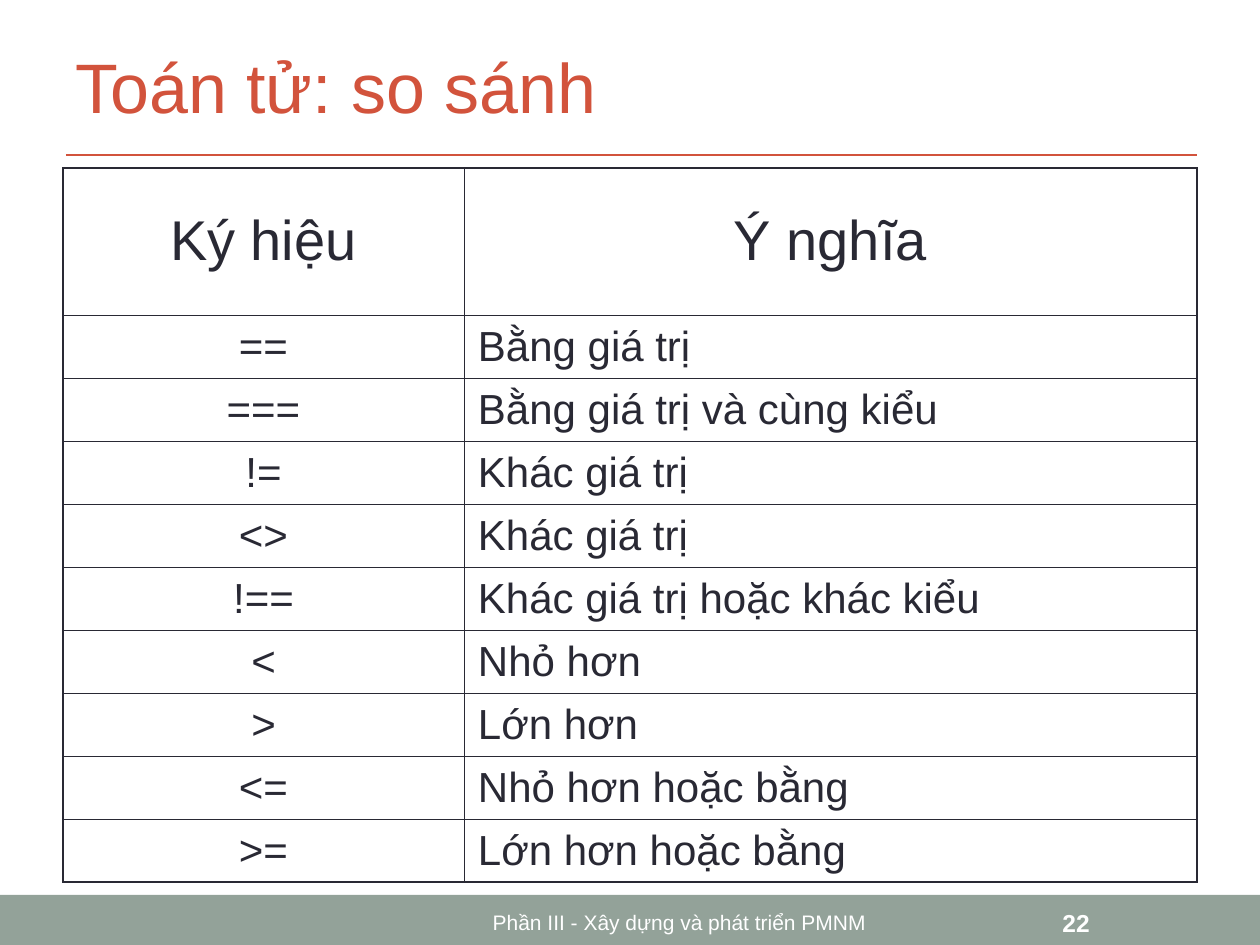
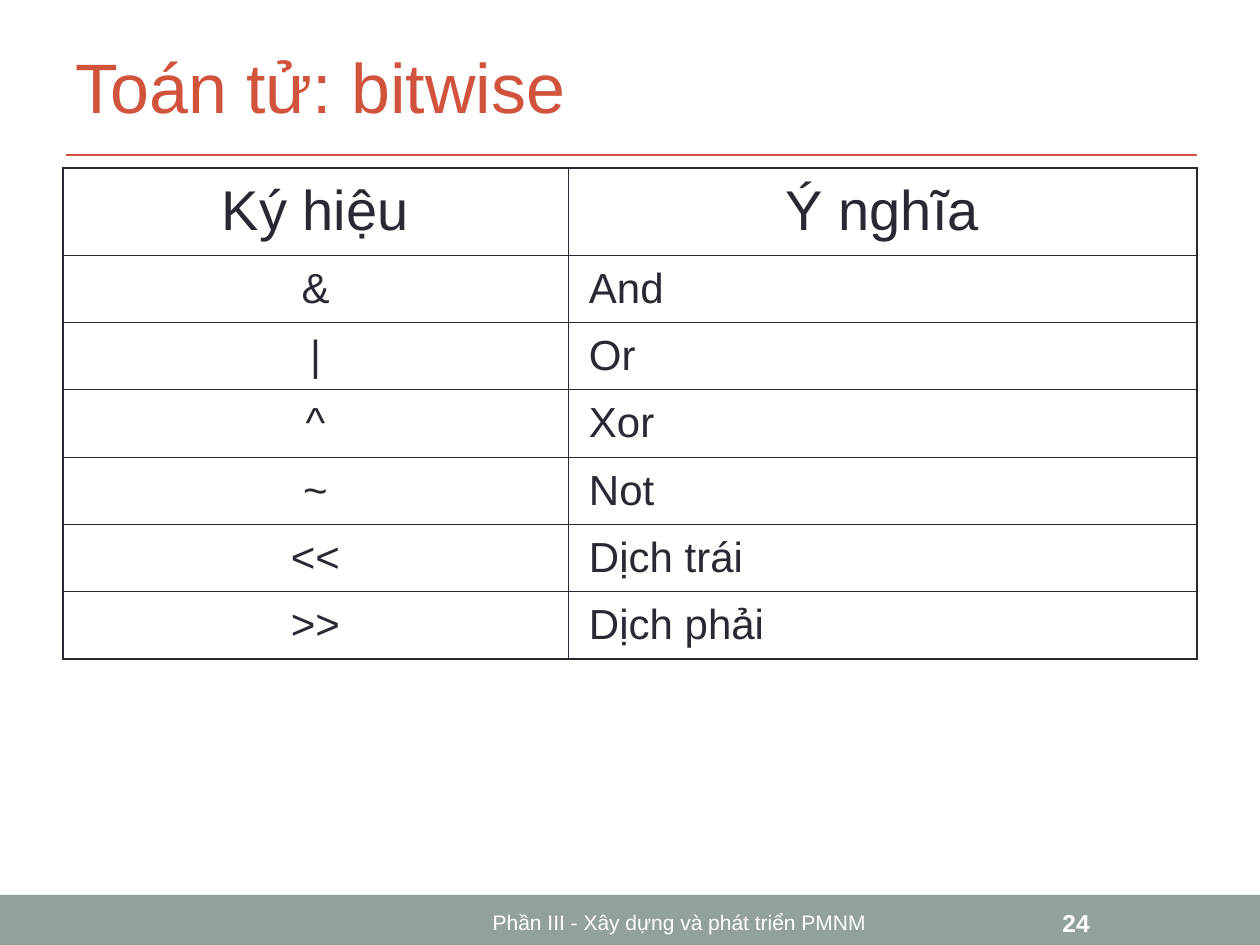
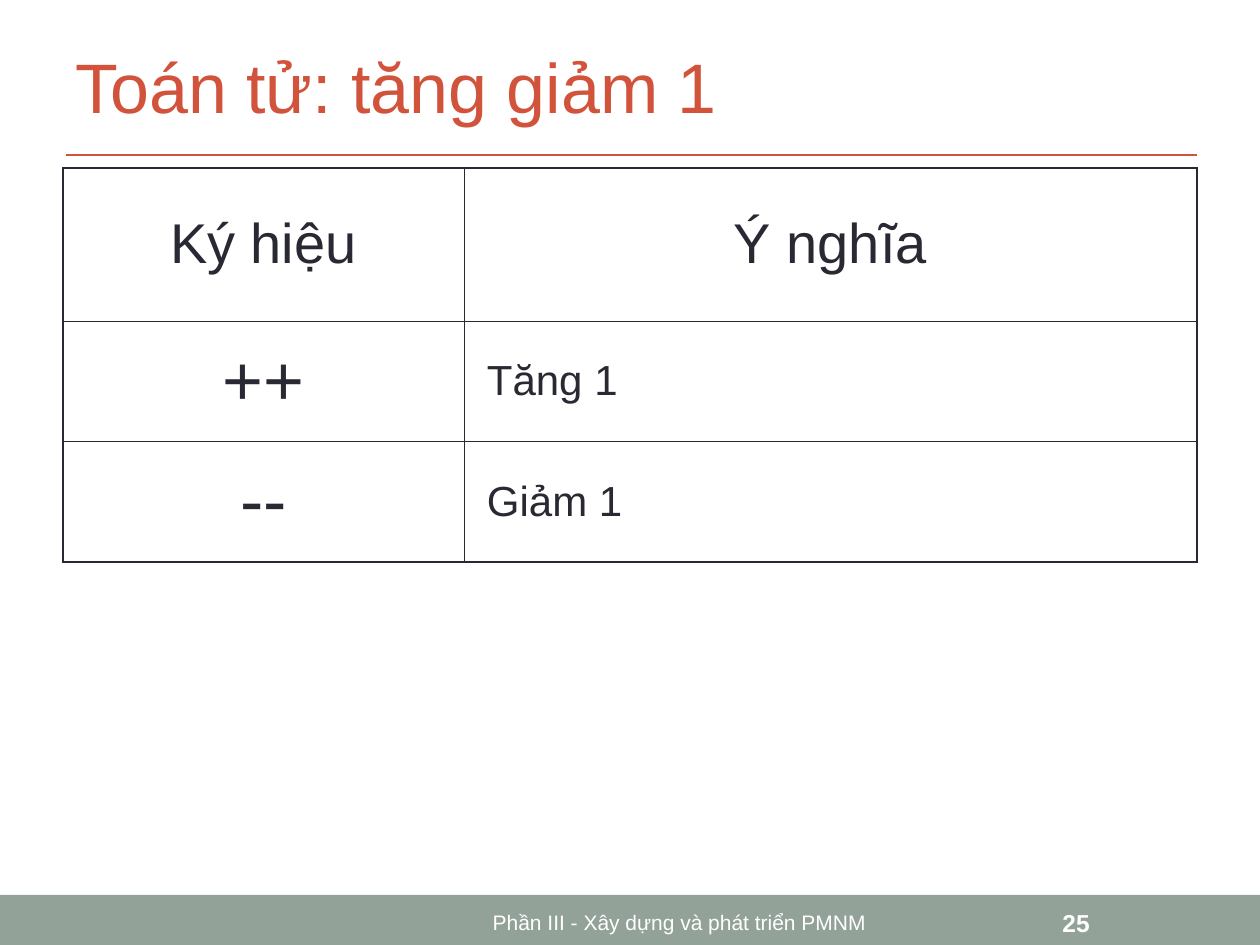
import lxml.etree
import pptx
import pptx.dml.color
import pptx.enum.shapes
import pptx.enum.text
import pptx.oxml.ns
import pptx.util

EMU_PER_PX = 914400 / 126
SLIDE_BOX = (0, 0, 1260, 945)
TITLE_BOX = (63, 18, 1134, 137)
FOOTER_BOX = (0, 895, 1260, 50)
TABLE_LEFT, TABLE_TOP, TABLE_WIDTH = 63, 168, 1134

COLORS = {"accent": "D2533C", "band": "93A299", "ink": "292934", "light": "FFFFFF"}
FONTS = {
    "title": ("accent", {"size": pptx.util.Pt(40), "bold": False}),
    "heading": ("ink", {"size": pptx.util.Pt(32), "bold": False}),
    "body": ("ink", {"size": pptx.util.Pt(24), "bold": False}),
    "large": ("ink", {"size": pptx.util.Pt(40), "bold": False}),
    "footer": ("light", {"size": pptx.util.Pt(12), "bold": False}),
    "page": ("light", {"size": pptx.util.Pt(14), "bold": True}),
}
LEFT = pptx.enum.text.PP_ALIGN.LEFT
CENTER = pptx.enum.text.PP_ALIGN.CENTER
MIDDLE = pptx.enum.text.MSO_ANCHOR.MIDDLE
OUTER_LINE, INNER_LINE = 1.08, 0.45
HEADINGS = ("Ký hiệu", "Ý nghĩa")
FOOTER_TEXT = "Phần III - Xây dựng và phát triển PMNM"

SLIDES = [
    {
        "title": "Toán tử: so sánh",
        "page": "22",
        "symbol_width": 401,
        "heading_height": 147,
        "body_height": 567,
        "margin": 14,
        "symbol_font": "body",
        "operators": [
            ("==", "Bằng giá trị"),
            ("===", "Bằng giá trị và cùng kiểu"),
            ("!=", "Khác giá trị"),
            ("<>", "Khác giá trị"),
            ("!==", "Khác giá trị hoặc khác kiểu"),
            ("<", "Nhỏ hơn"),
            (">", "Lớn hơn"),
            ("<=", "Nhỏ hơn hoặc bằng"),
            (">=", "Lớn hơn hoặc bằng"),
        ],
    },
    {
        "title": "Toán tử: bitwise",
        "page": "24",
        "symbol_width": 505,
        "heading_height": 87,
        "body_height": 404,
        "margin": 21,
        "symbol_font": "body",
        "operators": [
            ("&", "And"),
            ("|", "Or"),
            ("^", "Xor"),
            ("~", "Not"),
            ("<<", "Dịch trái"),
            (">>", "Dịch phải"),
        ],
    },
    {
        "title": "Toán tử: tăng giảm 1",
        "page": "25",
        "symbol_width": 401,
        "heading_height": 153,
        "body_height": 241,
        "margin": 23,
        "symbol_font": "large",
        "operators": [("++", "Tăng 1"), ("--", "Giảm 1")],
    },
]


def px(length):
    """Turn pixels into EMU."""
    return pptx.util.Emu(round(length * EMU_PER_PX))


def rgb(color):
    """Look up a named colour."""
    return pptx.dml.color.RGBColor.from_string(COLORS[color])


def write(frame, text, style, align):
    """Write one styled paragraph into a text frame."""
    color, values = FONTS[style]
    paragraph = frame.paragraphs[0]
    paragraph.alignment = align
    run = paragraph.add_run()
    run.text = text
    run.font.name = "Arial"
    run.font.color.rgb = rgb(color)
    for name, value in values.items():
        setattr(run.font, name, value)


def add_label(slide, box, text, style, align=LEFT):
    """Add a wrapped, vertically centred text box."""
    frame = slide.shapes.add_textbox(*map(px, box)).text_frame
    frame.word_wrap = True
    frame.vertical_anchor = MIDDLE
    write(frame, text, style, align)


def add_footer(slide, box, page):
    """Add the bottom band with its footer text and page number."""
    left, top, width, height = box
    band = slide.shapes.add_shape(
        pptx.enum.shapes.MSO_SHAPE.RECTANGLE, *map(px, box))
    band.shadow.inherit = False
    band.fill.solid()
    band.fill.fore_color.rgb = rgb("band")
    band.line.fill.background()
    add_label(slide, (left + 321, top + 5, 717, height - 5), FOOTER_TEXT, "footer", CENTER)
    add_label(slide, (left + 1050, top + 5, 147, height - 5), page, "page")


def add_title(slide, box, text):
    """Add the title and the rule along the bottom of its box."""
    left, top, width, height = box
    bottom = px(top + height)
    rule = slide.shapes.add_connector(
        pptx.enum.shapes.MSO_CONNECTOR.STRAIGHT,
        px(left + 3), bottom, px(left + width), bottom)
    rule.line.color.rgb = rgb("accent")
    rule.line.width = pptx.util.Pt(1.5)
    lxml.etree.SubElement(
        rule._element.spPr, pptx.oxml.ns.qn("a:effectLst"))
    add_label(slide, (left, top, width, height - 1), text, "title")


def add_borders(cell, outer_sides):
    """Draw the four cell borders, heavier on the outer sides."""
    properties = cell._tc.get_or_add_tcPr()
    for side in "LRTB":
        width = OUTER_LINE if side in outer_sides else INNER_LINE
        border = lxml.etree.SubElement(
            properties, pptx.oxml.ns.qn(f"a:ln{side}"), w=str(pptx.util.Pt(width)))
        fill = lxml.etree.SubElement(border, pptx.oxml.ns.qn("a:solidFill"))
        lxml.etree.SubElement(
            fill, pptx.oxml.ns.qn("a:srgbClr"), val=COLORS["ink"])


def add_operator_table(slide, box, content):
    """Add the table of operator symbols and their meanings."""
    rows = [HEADINGS, *content["operators"]]
    last = len(rows) - 1
    table = slide.shapes.add_table(len(rows), 2, *map(px, box)).table
    table.first_row = table.horz_banding = False
    table.columns[0].width = px(content["symbol_width"])
    table.columns[1].width = px(box[2] - content["symbol_width"])
    cell_format = {
        "margin_left": px(content["margin"]),
        "margin_right": px(content["margin"]),
        "margin_top": px(6),
        "margin_bottom": px(6),
        "vertical_anchor": MIDDLE,
    }
    for r, texts in enumerate(rows):
        is_heading = r == 0
        table.rows[r].height = px(
            content["heading_height"] if is_heading else content["body_height"] / last)
        styles = ("heading", "heading") if is_heading else (content["symbol_font"], "body")
        aligns = (CENTER, CENTER if is_heading else LEFT)
        for c, (text, style, align) in enumerate(zip(texts, styles, aligns)):
            cell = table.cell(r, c)
            for name, value in cell_format.items():
                setattr(cell, name, value)
            outer_sides = "LR"[c] + ("T" if is_heading else "") + ("B" if r == last else "")
            add_borders(cell, outer_sides)
            cell.fill.background()
            write(cell.text_frame, text, style, align)


def add_operator_slide(deck, content):
    """Add one slide with title, operator table and footer."""
    slide = deck.slides.add_slide(deck.slide_layouts[6])
    add_footer(slide, FOOTER_BOX, content["page"])
    add_title(slide, TITLE_BOX, content["title"])
    table_height = content["heading_height"] + content["body_height"]
    add_operator_table(
        slide, (TABLE_LEFT, TABLE_TOP, TABLE_WIDTH, table_height), content)


def main():
    """Build and save the deck."""
    deck = pptx.Presentation()
    deck.slide_width, deck.slide_height = map(px, SLIDE_BOX[2:])
    for content in SLIDES:
        add_operator_slide(deck, content)
    deck.save("out.pptx")


if __name__ == "__main__":
    main()
